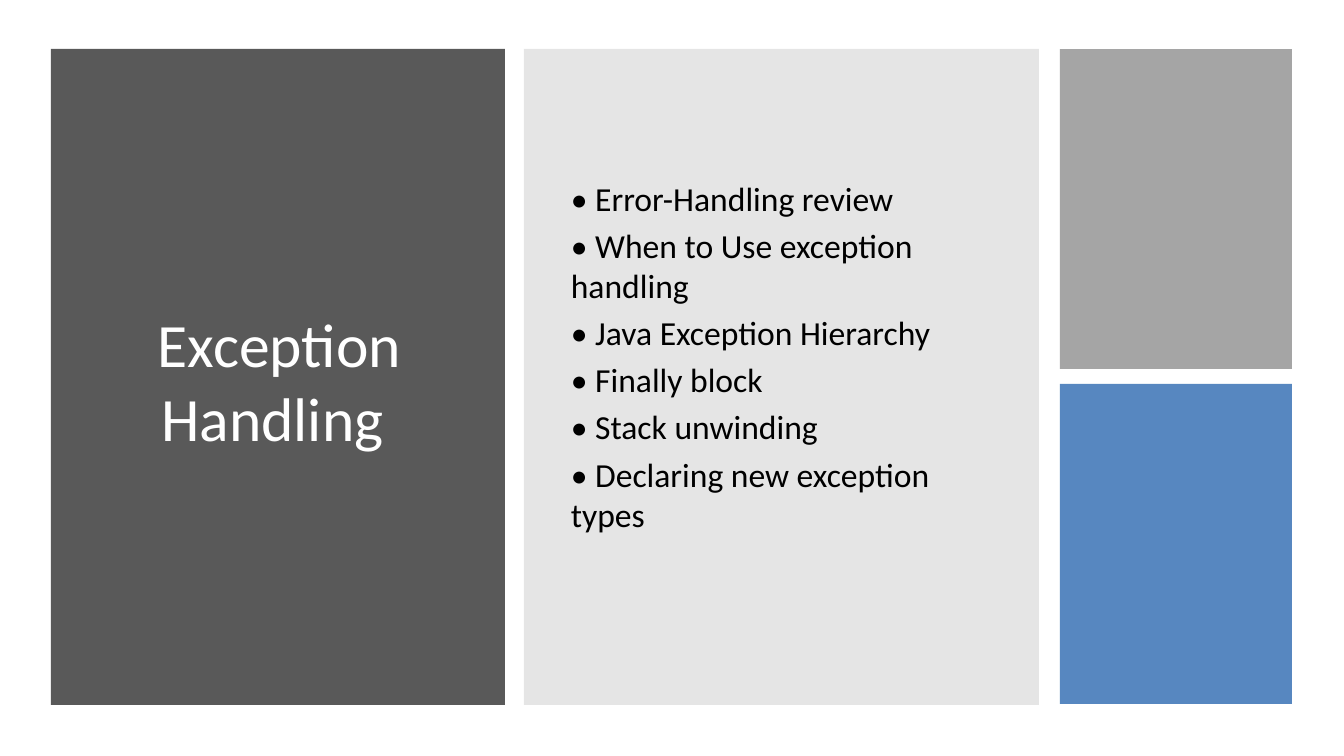
from lxml.etree import SubElement
from pptx import Presentation
from pptx.dml.color import RGBColor
from pptx.enum.shapes import MSO_SHAPE
from pptx.enum.text import MSO_ANCHOR, PP_ALIGN
from pptx.oxml.ns import qn
from pptx.util import Pt

TITLE = "Exception Handling "
TOPICS = [
    "• Error-Handling review",
    "• When to Use exception handling",
    "• Java Exception Hierarchy",
    "• Finally block",
    "• Stack unwinding",
    "• Declaring new exception types",
]
COLORS = {
    "title panel": "595959",
    "topics panel": "808080",
    "upper block": "A5A5A5",
    "lower block": "4F81BD",
    "title": "FFFFFF",
    "topics": "000000",
}
FONT = "Calibri"

PX = 914400 / 100.8
SLIDE_W, SLIDE_H = 1344, 756
TOP, PANEL_H = 49, 656
TITLE_X, TITLE_W = 51, 454
TOPICS_X, TOPICS_W = 524, 515
BLOCK_X, BLOCK_W, BLOCK_GAP = 1060, 232, 15
BLOCK_H = (PANEL_H - BLOCK_GAP) // 2
TEXT_TOP, TEXT_H = 84, 592
TOPICS_BOTTOM_INSET = 53


def px(length):
    return round(length * PX)


def add_block(slide, color, left, top, width, height, opacity=100):
    block = slide.shapes.add_shape(
        MSO_SHAPE.RECTANGLE, px(left), px(top), px(width), px(height))
    block.shadow.inherit = False
    block.line.fill.background()
    block.fill.solid()
    block.fill.fore_color.rgb = RGBColor.from_string(COLORS[color])
    if opacity < 100:
        srgb = block.fill._xPr.find(".//" + qn("a:srgbClr"))
        SubElement(srgb, qn("a:alpha"), val=str(opacity * 1000))


def add_text(slide, lines, color, left, width, size, align, space_before=0):
    """Add a vertically centred text box with one paragraph per line."""
    box = slide.shapes.add_textbox(
        px(left), px(TEXT_TOP), px(width), px(TEXT_H))
    frame = box.text_frame
    frame.word_wrap = True
    frame.vertical_anchor = MSO_ANCHOR.MIDDLE
    for index, line in enumerate(lines):
        paragraph = frame.add_paragraph() if index else frame.paragraphs[0]
        paragraph.alignment = align
        paragraph.space_before = Pt(space_before)
        run = paragraph.add_run()
        run.text = line
        run.font.name = FONT
        run.font.size = Pt(size)
        run.font.color.rgb = RGBColor.from_string(COLORS[color])
    return frame


def main():
    deck = Presentation()
    deck.slide_width, deck.slide_height = px(SLIDE_W), px(SLIDE_H)
    slide = deck.slides.add_slide(deck.slide_layouts[6])

    add_block(slide, "title panel", TITLE_X, TOP, TITLE_W, PANEL_H)
    add_text(slide, [TITLE], "title", 86, 387, 44, PP_ALIGN.CENTER)

    add_block(slide, "topics panel", TOPICS_X, TOP, TOPICS_W, PANEL_H, 20)
    topics = add_text(
        slide, TOPICS, "topics", 561, 446, 24, PP_ALIGN.LEFT, 4.8)
    topics.margin_bottom = px(TOPICS_BOTTOM_INSET)

    for row, (color, opacity) in enumerate(
            [("upper block", 100), ("lower block", 95)]):
        block_top = TOP + row * (BLOCK_H + BLOCK_GAP)
        add_block(slide, color, BLOCK_X, block_top, BLOCK_W, BLOCK_H, opacity)

    deck.save("out.pptx")


if __name__ == "__main__":
    main()
